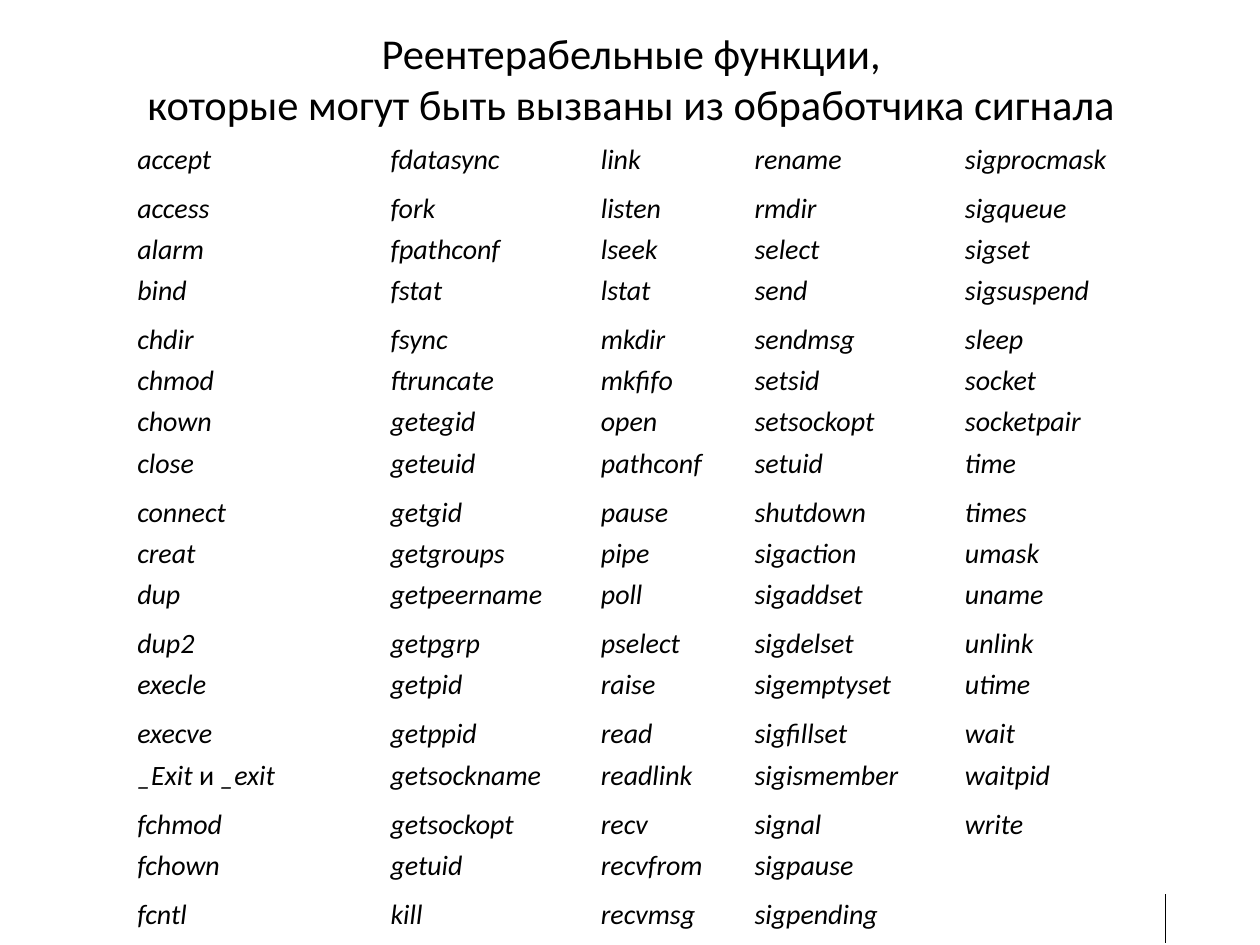
from dataclasses import dataclass
from lxml.etree import SubElement
from pptx import Presentation
from pptx.dml.color import RGBColor
from pptx.enum.text import MSO_ANCHOR, PP_ALIGN
from pptx.oxml.ns import qn
from pptx.util import Inches, Pt

WIDE, HIGH = 10, 7.5
INK = "000000"
PLAIN = "{2D5ABB26-0587-4C30-8999-92F81FD0307C}"
TALL, LOW = 0.39, 0.24
TALL_ROWS = {0, 3, 7, 10, 12, 14, 16, 17}
ROWS = 18


@dataclass
class Column:
    width: float
    names: list[str]


COLUMNS = [
    Column(2.01, "accept access alarm bind chdir chmod chown close connect creat "
                 "dup dup2 execle execve".split()
           + ["_Exit |и |_exit", "fchmod", "fchown", "fcntl"]),
    Column(1.67, "fdatasync fork fpathconf fstat fsync ftruncate getegid geteuid "
                 "getgid getgroups getpeername getpgrp getpid getppid "
                 "getsockname getsockopt getuid kill".split()),
    Column(1.22, "link listen lseek lstat mkdir mkfifo open pathconf pause pipe "
                 "poll pselect raise read readlink recv recvfrom recvmsg".split()),
    Column(1.67, "rename rmdir select send sendmsg setsid setsockopt setuid "
                 "shutdown sigaction sigaddset sigdelset sigemptyset sigfillset "
                 "sigismember signal sigpause sigpending".split()),
    Column(1.62, "sigprocmask sigqueue sigset sigsuspend sleep socket socketpair "
                 "time times umask uname unlink utime wait waitpid write".split()),
]


def paint(code: str) -> RGBColor:
    return RGBColor.from_string(code)


def put(frame, text: str, *, size: float, align, slant: bool = False) -> None:
    para = frame.paragraphs[0]
    para.alignment = align
    for part, piece in enumerate(text.split("|")):
        for row, line in enumerate(piece.split("\n")):
            if row:
                para.add_line_break()
            run = para.add_run()
            run.text = line
            font = run.font
            font.name, font.size = "Calibri", Pt(size)
            font.italic = slant and part % 2 == 0
            font.color.rgb = paint(INK)


def add_title(slide, text: str) -> None:
    box = slide.shapes.add_textbox(Inches(0.051 * WIDE), Inches(0.017 * HIGH),
                                   Inches(0.9 * WIDE), Inches(0.13 * HIGH))
    frame = box.text_frame
    frame.word_wrap = True
    frame.vertical_anchor = MSO_ANCHOR.MIDDLE
    put(frame, text, size=24.3, align=PP_ALIGN.CENTER)


def edge_right(cell) -> None:
    props = cell._tc.get_or_add_tcPr()
    line = props.makeelement(qn("a:lnR"), {"w": str(Pt(1))})
    fill = SubElement(line, qn("a:solidFill"))
    SubElement(fill, qn("a:srgbClr"), val=INK)
    props.insert(0, line)


def add_names(slide, columns: list[Column]) -> None:
    width = sum(col.width for col in columns)
    shape = slide.shapes.add_table(ROWS, len(columns), Inches(1.06), Inches(1.1),
                                   Inches(width), Inches(6.4))
    table = shape.table
    table.first_row = table.horz_banding = False
    table._tbl.tblPr.find(qn("a:tableStyleId")).text = PLAIN
    for row in range(ROWS):
        table.rows[row].height = Inches(TALL if row in TALL_ROWS else LOW)
    for at, col in enumerate(columns):
        table.columns[at].width = Inches(col.width)
        for row in range(ROWS):
            cell = table.cell(row, at)
            cell.fill.background()
            cell.margin_left = cell.margin_right = Inches(0.03)
            cell.margin_top = cell.margin_bottom = Inches(0.03)
            if row < len(col.names):
                put(cell.text_frame, col.names[row], size=16,
                    align=PP_ALIGN.JUSTIFY, slant=True)
    edge_right(table.cell(ROWS - 1, len(columns) - 1))
    shape.height = Inches(6.4)


def main() -> None:
    deck = Presentation()
    deck.slide_width, deck.slide_height = Inches(WIDE), Inches(HIGH)
    slide = deck.slides.add_slide(deck.slide_layouts[6])
    add_title(slide, "Реентерабельные функции,\n"
                     "которые могут быть вызваны из обработчика сигнала")
    add_names(slide, COLUMNS)
    deck.save("out.pptx")


if __name__ == "__main__":
    main()
